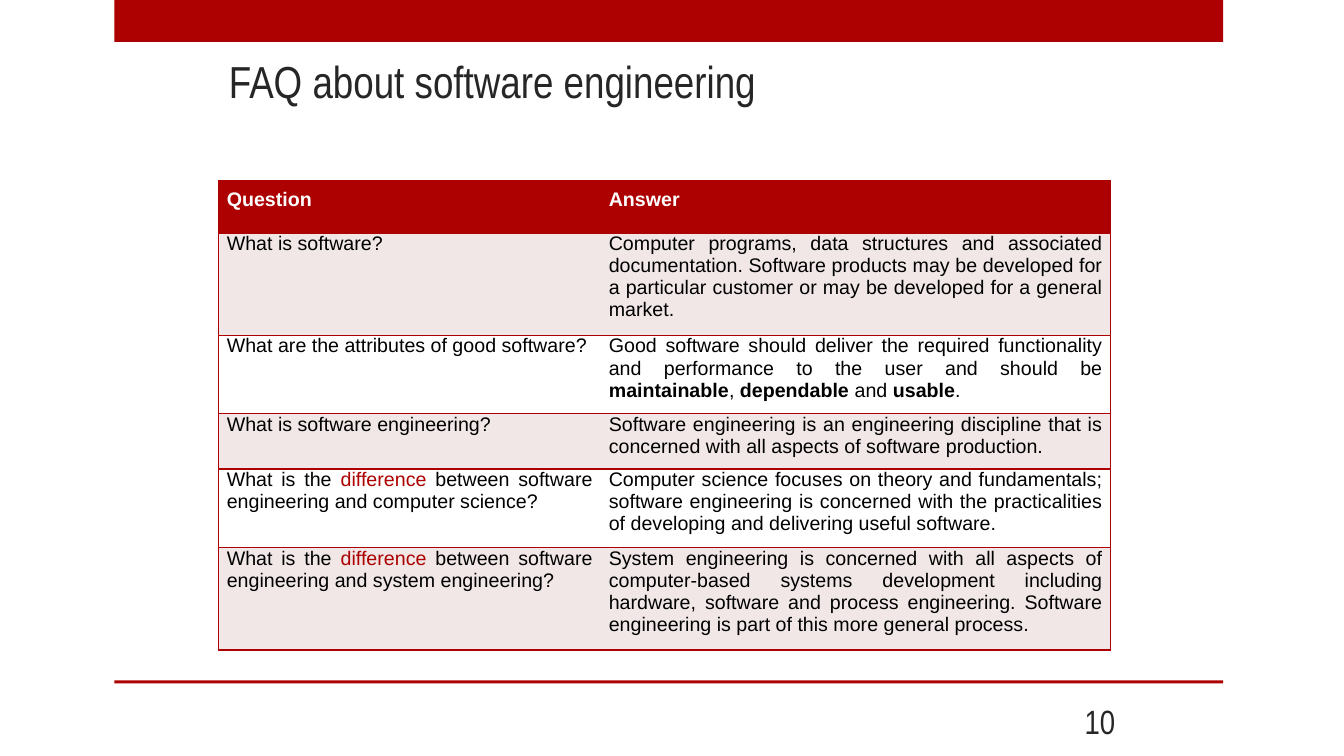
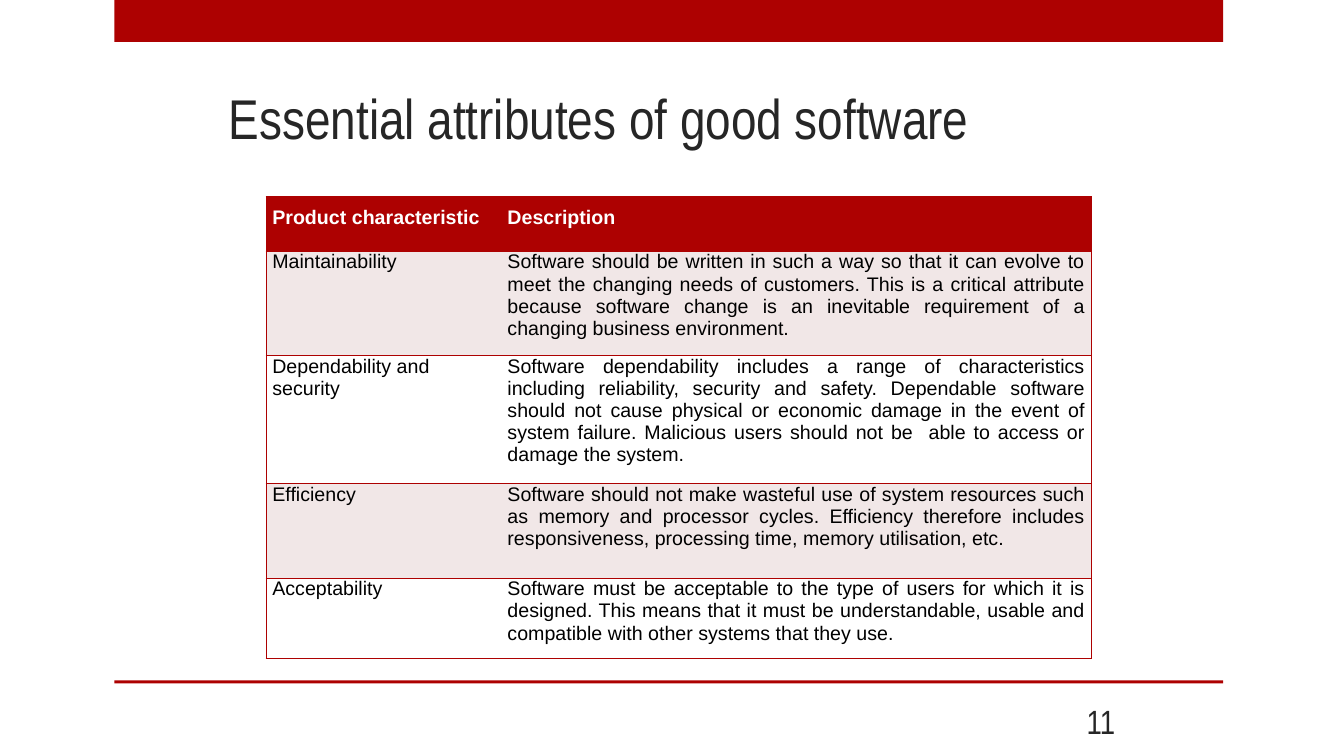
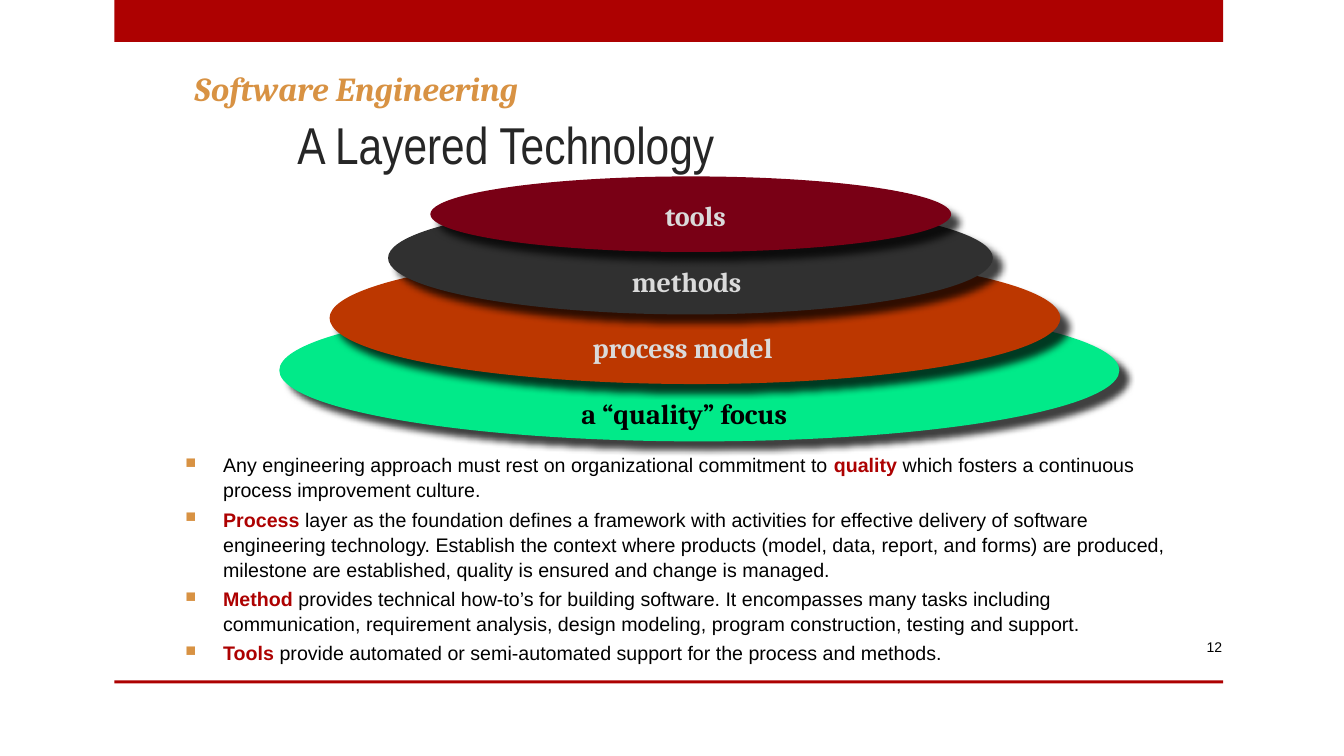
from lxml.etree import SubElement
from pptx import Presentation
from pptx.dml.color import RGBColor
from pptx.enum.shapes import MSO_SHAPE
from pptx.enum.text import MSO_ANCHOR, MSO_AUTO_SIZE, PP_ALIGN
from pptx.oxml.ns import qn
from pptx.util import Pt

RED, PALE, WHITE, BLACK = "AD0101", "F1E7E7", "FFFFFF", "000000"
DARK, GOLD, SILVER = "262626", "D89243", "DADADA"
BODY = {"name": "Arial", "size": 14, "color": BLACK, "bold": False}
HEADER = BODY | {"color": WHITE, "bold": True}
TITLE = {"name": "Arial Narrow", "color": DARK}
NUMBER = TITLE | {"size": 24}
SMALL_NUMBER = {"name": "Arial", "size": 10, "color": BLACK}
KICKER = {"name": "Cambria", "size": 24, "color": GOLD, "bold": True, "italic": True}
LABEL = {"name": "Cambria", "size": 20, "bold": True}

BANDS = [(81.75, 0, 792, 30), (81.75, 486, 792, 2.2)]
NUMBER_BOX = (635.8, 500.4, 167.8, 28.8)
SMALL_NUMBER_BOX = (800, 447.8, 80, 28.8)

FAQ = {
    "at": (156.25, 129), "columns": (272.9, 364.3),
    "heights": (37.4, 72.7, 56.2, 38.9, 56.2, 72.7),
    "side": 5.76, "end": 5.76, "first_align": PP_ALIGN.JUSTIFY,
    "emphasis": ({"color": RED}, {"bold": True}),
    "rows": [
        ("Question", "Answer"),
        ("What is software?",
         "Computer programs, data structures and associated documentation. Software products may be "
         "developed for a particular customer or may be developed for a general market."),
        ("What are the attributes of good software?",
         "Good software should deliver the required functionality and performance to the user and "
         "should be |maintainable|, |dependable| and |usable|."),
        ("What is software engineering?",
         "Software engineering is an engineering discipline that is concerned with all aspects of "
         "software production."),
        ("What is the |difference| between software engineering and computer science?",
         "Computer science focuses on theory and fundamentals; software engineering is concerned with "
         "the practicalities of developing and delivering useful software."),
        ("What is the |difference| between software engineering and system engineering?",
         "System engineering is concerned with all aspects of computer-based systems development "
         "including hardware, software and process engineering. Software engineering is part of this "
         "more general process."),
    ],
}
ATTRIBUTES = {
    "at": (190.2, 140.5), "columns": (168, 421.3),
    "heights": (38.9, 74.2, 91.4, 67.7, 57.6),
    "side": 4.32, "end": 7.2, "first_align": PP_ALIGN.LEFT,
    "emphasis": ({}, {}),
    "rows": [
        ("Product characteristic", "Description"),
        ("Maintainability",
         "Software should be written in such a way so that it can evolve to meet the changing needs of "
         "customers. This is a critical attribute because software change is an inevitable requirement "
         "of a changing business environment."),
        ("Dependability and security",
         "Software dependability includes a range of characteristics including reliability, security "
         "and safety. Dependable software should not cause physical or economic damage in the event of "
         "system failure. Malicious users should not be  able to access or damage the system."),
        ("Efficiency",
         "Software should not make wasteful use of system resources such as memory and processor "
         "cycles. Efficiency therefore includes responsiveness, processing time, memory utilisation, "
         "etc."),
        ("Acceptability",
         "Software must be acceptable to the type of users for which it is designed. This means that "
         "it must be understandable, usable and compatible with other systems that they use."),
    ],
}
LAYERS = [
    ("a “quality” focus", BLACK, "01EA89", (199.5, 213.8, 600, 101.5), 408.2, 170.6),
    ("process model", SILVER, "BC3700", (235.4, 180, 522, 94.3), 416.2, 144.7),
    ("methods", SILVER, "303030", (277.2, 144, 432, 80.6), 444.2, 92.9),
    ("tools", SILVER, "790015", (307.4, 126, 372, 54), 468, 59),
]
LABEL_BOTTOM_TOP, LABEL_STEP, LABEL_HEIGHT = 280, 47.3, 31
POINTS = [
    "Any engineering approach must rest on organizational commitment to |quality |which fosters a "
    "continuous process improvement culture.",
    "|Process |layer as the foundation defines a framework with activities for effective delivery of "
    "software engineering technology. Establish the context where products (model, data, report, and "
    "forms) are produced, milestone are established, quality is ensured and change is managed.",
    "|Method |provides technical how-to’s for building software. It encompasses many tasks including "
    "communication, requirement analysis, design modeling, program construction, testing and support.",
    "|Tools |provide automated or semi-automated support for the process and methods.",
]


def rgb(value):
    """Turn a hex string into a colour."""
    return RGBColor.from_string(value)


def points(values):
    """Turn numbers into point lengths."""
    return [Pt(value) for value in values]


def add_element(parent, tag, **attributes):
    """Append a drawing element with attributes."""
    return SubElement(parent, qn(tag), {key: str(value) for key, value in attributes.items()})


def write(paragraph, text, style, emphasis=None, align=PP_ALIGN.LEFT):
    """Write text as runs, with the parts between bars emphasised."""
    paragraph.alignment = align
    for index, part in enumerate(text.split("|")):
        if not part:
            continue
        run = paragraph.add_run()
        run.text = part
        for key, value in (style | (emphasis or {}) if index % 2 else style).items():
            if key == "color":
                run.font.color.rgb = rgb(value)
            else:
                setattr(run.font, key, Pt(value) if key == "size" else value)


def add_text(slide, box, text, style, align=PP_ALIGN.LEFT, **settings):
    """Add a text box with one paragraph."""
    frame = slide.shapes.add_textbox(*points(box)).text_frame
    for key, value in ({"word_wrap": True} | settings).items():
        setattr(frame, key, value)
    write(frame.paragraphs[0], text, style, align=align)
    return frame.paragraphs[0]


def add_solid(slide, kind, box, color):
    """Add a filled shape without outline or shadow."""
    shape = slide.shapes.add_shape(kind, *points(box))
    shape.shadow.inherit = False
    shape.fill.solid()
    shape.fill.fore_color.rgb = rgb(color)
    shape.line.fill.background()
    return shape


def add_bands(slide, layout):
    """Draw the red bands and hand them to the shared layout."""
    for box in BANDS:
        band = add_solid(slide, MSO_SHAPE.RECTANGLE, box, RED)
        layout.shapes.element.append(band.element)


def add_slide(presentation, title, box, size, number, number_box=NUMBER_BOX,
              number_style=NUMBER, **settings):
    """Add a slide with its title and number."""
    slide = presentation.slides.add_slide(presentation.slide_layouts[5])
    shape = slide.shapes.title
    shape.left, shape.top, shape.width, shape.height = points(box)
    frame = shape.text_frame
    defaults = {"word_wrap": True, "auto_size": MSO_AUTO_SIZE.NONE,
                "vertical_anchor": MSO_ANCHOR.BOTTOM}
    for key, value in (defaults | settings).items():
        setattr(frame, key, value)
    write(frame.paragraphs[0], title, TITLE | {"size": size})
    add_text(slide, number_box, number, number_style, PP_ALIGN.RIGHT,
             vertical_anchor=MSO_ANCHOR.MIDDLE)
    return slide


def set_borders(cell, visible):
    """Draw the visible sides of a cell in red and clear the others."""
    properties = cell._tc.get_or_add_tcPr()
    for side in "LRTB":
        line = add_element(properties, f"a:ln{side}", w=Pt(1))
        if side in visible:
            add_element(add_element(line, "a:solidFill"), "a:srgbClr", val=RED)
        else:
            add_element(line, "a:noFill")


def add_grid(slide, data):
    """Add a two-column table with a red header and banded rows."""
    rows, columns, heights = data["rows"], data["columns"], data["heights"]
    box = (*data["at"], sum(columns), sum(heights))
    table = slide.shapes.add_table(len(rows), len(columns), *points(box)).table
    table.horz_banding = False
    for column, width in zip(table.columns, columns):
        column.width = Pt(width)
    for row_index, (row, height) in enumerate(zip(rows, heights)):
        table.rows[row_index].height = Pt(height)
        header = row_index == 0
        for column_index, text in enumerate(row):
            cell = table.cell(row_index, column_index)
            cell.margin_left = cell.margin_right = Pt(data["side"])
            cell.margin_top = Pt(data["end"] if header else 0)
            cell.margin_bottom = Pt(data["end"])
            set_borders(cell, "TB" + "LR"[column_index])
            cell.fill.solid()
            cell.fill.fore_color.rgb = rgb(RED if header else PALE if row_index % 2 else WHITE)
            write(cell.text_frame.paragraphs[0], text, HEADER if header else BODY,
                  data["emphasis"][column_index],
                  PP_ALIGN.JUSTIFY if column_index else data["first_align"])


def add_layers(slide):
    """Stack the shadowed ellipses and put their labels on top."""
    for _, _, fill, box, _, _ in LAYERS:
        ellipse = add_solid(slide, MSO_SHAPE.OVAL, box, fill)
        effects = ellipse.element.spPr.find(qn("a:effectLst"))
        shadow = add_element(effects, "a:outerShdw", blurRad=Pt(5), dist=Pt(8.5),
                             dir=45 * 60000, algn="ctr", rotWithShape=0)
        add_element(add_element(shadow, "a:srgbClr", val=BLACK), "a:alpha", val=75000)
    for index, (text, color, _, _, left, width) in enumerate(LAYERS):
        box = (left, LABEL_BOTTOM_TOP - index * LABEL_STEP, width, LABEL_HEIGHT)
        add_text(slide, box, text, LABEL | {"color": color}, word_wrap=False,
                 auto_size=MSO_AUTO_SIZE.SHAPE_TO_FIT_TEXT)


def add_points(slide):
    """Add the bulleted explanation of the layers."""
    frame = slide.shapes.add_textbox(*points((125.3, 319, 725.8, 209.5))).text_frame
    frame.word_wrap = True
    for index, text in enumerate(POINTS):
        paragraph = frame.add_paragraph() if index else frame.paragraphs[0]
        properties = paragraph._p.get_or_add_pPr()
        properties.set("marL", str(Pt(27)))
        properties.set("indent", str(Pt(-27)))
        add_element(add_element(properties, "a:buClr"), "a:srgbClr", val=GOLD)
        add_element(properties, "a:buSzPct", val=75000)
        add_element(properties, "a:buChar", char="■")
        paragraph.line_spacing = 1.07
        if index:
            paragraph.space_before = Pt(2.8)
        write(paragraph, text, BODY, {"color": RED, "bold": True})


def main():
    """Build and save the presentation."""
    presentation = Presentation()
    presentation.slide_width, presentation.slide_height = points((960, 540))

    slide = add_slide(presentation, "FAQ about software engineering", (156.25, 34.5, 653.8, 78.5),
                      32, "10", vertical_anchor=MSO_ANCHOR.TOP)
    add_bands(slide, presentation.slide_layouts[5])
    add_grid(slide, FAQ)

    slide = add_slide(presentation, "Essential attributes of good software",
                      (156.25, 21.6, 630, 90), 40, "11")
    add_grid(slide, ATTRIBUTES)

    slide = add_slide(presentation, "A Layered Technology", (207.4, 77.8, 583.2, 49), 37, "12",
                      SMALL_NUMBER_BOX, SMALL_NUMBER, margin_left=Pt(5), margin_right=Pt(5),
                      margin_top=Pt(2.2), margin_bottom=Pt(2.2))
    kicker = add_text(slide, (131.8, 48.2, 245.5, 33), "Software Engineering", KICKER,
                      word_wrap=False, auto_size=MSO_AUTO_SIZE.SHAPE_TO_FIT_TEXT)
    kicker.line_spacing = 0.9
    add_layers(slide)
    add_points(slide)

    presentation.save("out.pptx")


if __name__ == "__main__":
    main()
